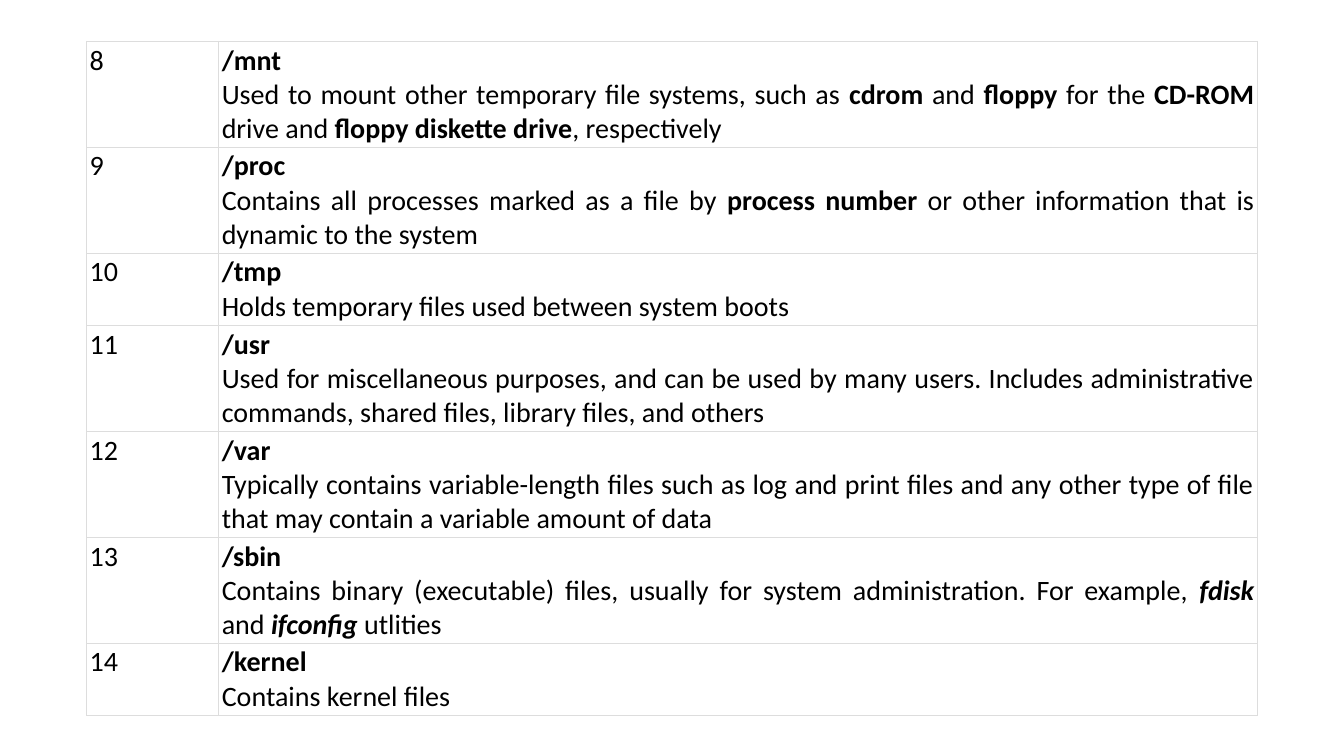
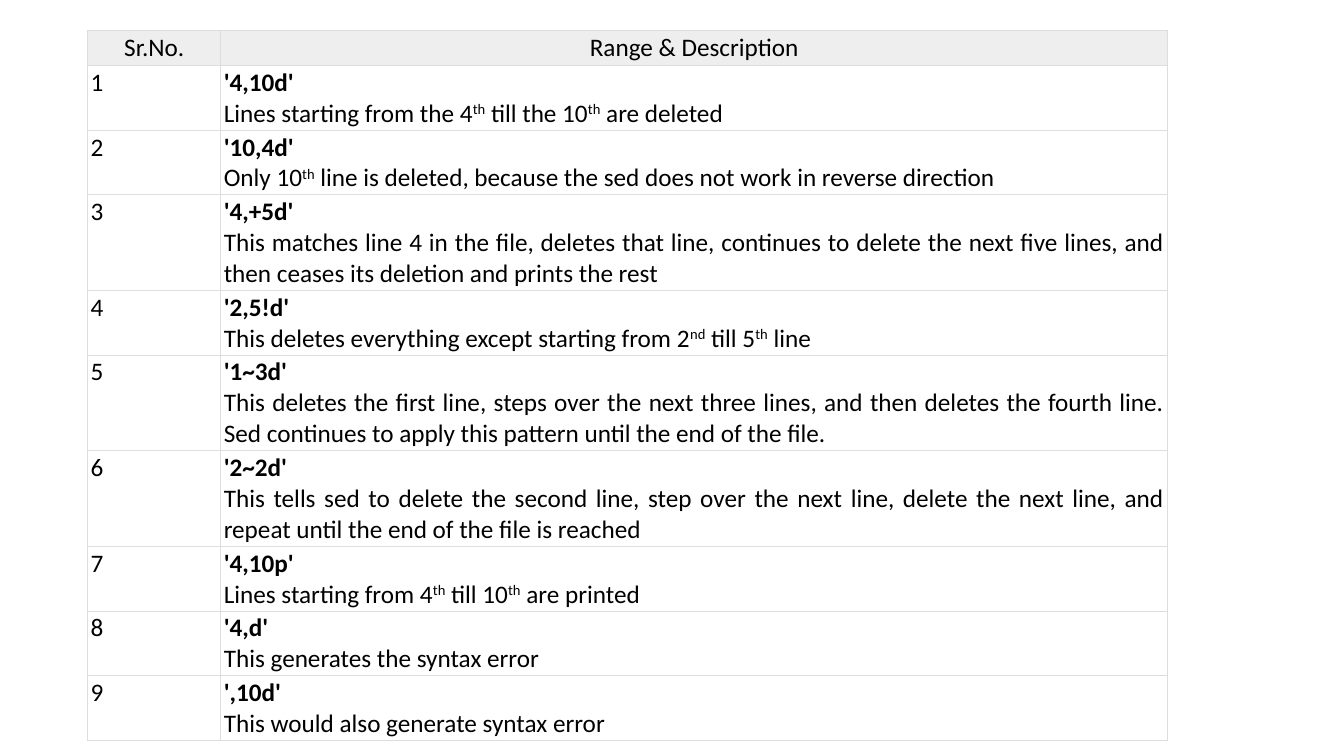
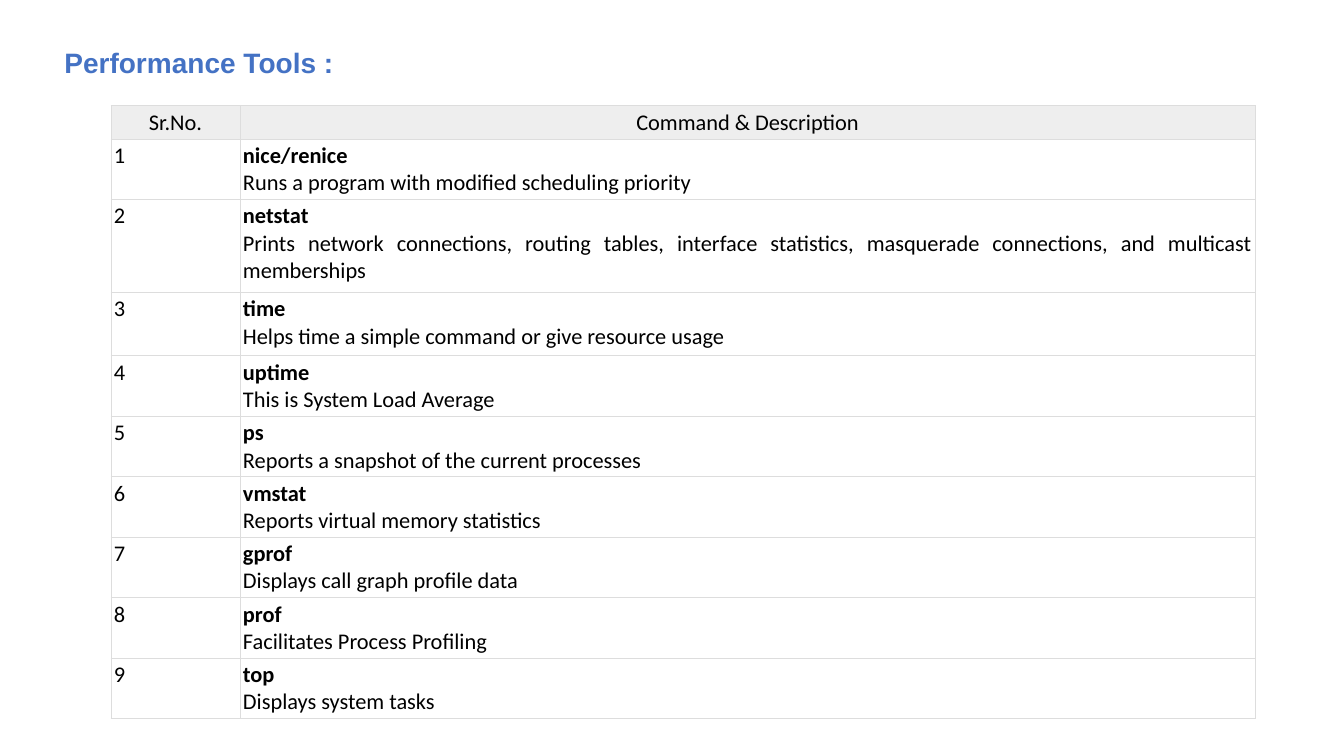
from lxml.etree import SubElement
from pptx import Presentation
from pptx.dml.color import RGBColor
from pptx.enum.text import PP_ALIGN
from pptx.oxml.ns import qn
from pptx.util import Inches, Pt

COLORS = {
    "text": "000000",
    "title": "4472C4",
    "header": "EEEEEE",
    "body": "FFFFFF",
    "border": "DDDDDD",
}
BODY_FONT = "Calibri"
TITLE_FONT = "Arial"
SIDE_MARGIN = 0.03
BORDER_WIDTH = Pt(0.6)

DIRECTORIES = [
    ("/mnt", "Used to mount other temporary file systems, such as |*cdrom| and |*floppy"
             "| for the |*CD-ROM| drive and |*floppy diskette drive|, respectively"),
    ("/proc", "Contains all processes marked as a file by |*process number"
              "| or other information that is dynamic to the system"),
    ("/tmp", "Holds temporary files used between system boots"),
    ("/usr", "Used for miscellaneous purposes, and can be used by many users. "
             "Includes administrative commands, shared files, library files, and others"),
    ("/var", "Typically contains variable-length files such as log and print files "
             "and any other type of file that may contain a variable amount of data"),
    ("/sbin", "Contains binary (executable) files, usually for system administration. "
              "For example, |/fdisk| and |/ifconfig| utlities"),
    ("/kernel", "Contains kernel files"),
]

SED_RANGES = [
    ("'4,10d'", "Lines starting from the 4|^th| till the 10|^th| are deleted"),
    ("'10,4d'", "Only 10|^th| line is deleted, because the sed does not work in reverse direction"),
    ("'4,+5d'", "This matches line 4 in the file, deletes that line, continues to delete "
                "the next five lines, and then ceases its deletion and prints the rest"),
    ("'2,5!d'", "This deletes everything except starting from 2|^nd| till 5|^th| line"),
    ("'1~3d'", "This deletes the first line, steps over the next three lines, and then deletes "
               "the fourth line. Sed continues to apply this pattern until the end of the file."),
    ("'2~2d'", "This tells sed to delete the second line, step over the next line, "
               "delete the next line, and repeat until the end of the file is reached"),
    ("'4,10p'", "Lines starting from 4|^th| till 10|^th| are printed"),
    ("'4,d'", "This generates the syntax error"),
    ("',10d'", "This would also generate syntax error"),
]

PERFORMANCE_TOOLS = [
    ("nice/renice", "Runs a program with modified scheduling priority"),
    ("netstat", "Prints network connections, routing tables, interface statistics, "
                "masquerade connections, and multicast memberships"),
    ("time", "Helps time a simple command or give resource usage"),
    ("uptime", "This is System Load Average"),
    ("ps", "Reports a snapshot of the current processes"),
    ("vmstat", "Reports virtual memory statistics"),
    ("gprof", "Displays call graph profile data"),
    ("prof", "Facilitates Process Profiling"),
    ("top", "Displays system tasks"),
]


class Deck:
    def __init__(self):
        self.presentation = Presentation()
        self.presentation.slide_width = Inches(13.33)
        self.presentation.slide_height = Inches(7.5)
        self.slide = None

    def add_slide(self):
        self.slide = self.presentation.slides.add_slide(self.presentation.slide_layouts[6])

    def style_run(self, run, size, color="text", name=BODY_FONT, bold=False, italic=False):
        run.font.size = Pt(size)
        run.font.name = name
        run.font.bold = bold
        run.font.italic = italic
        run.font.color.rgb = RGBColor.from_string(COLORS[color])

    def add_title(self, text, left, top, width, height):
        shape = self.slide.shapes.add_textbox(
            Inches(left), Inches(top), Inches(width), Inches(height))
        shape.text_frame.word_wrap = True
        shape.text_frame.text = text
        self.style_run(shape.text_frame.paragraphs[0].runs[0], 20, "title", TITLE_FONT, True)

    def format_cell(self, cell, fill, inset):
        cell.margin_left = cell.margin_right = Inches(SIDE_MARGIN)
        cell.margin_top = Inches(inset)
        cell.margin_bottom = Inches(inset - 0.01)
        properties = cell._tc.get_or_add_tcPr()
        for side in ("lnL", "lnR", "lnT", "lnB"):
            line = SubElement(properties, qn(f"a:{side}"), w=str(BORDER_WIDTH))
            solid = SubElement(line, qn("a:solidFill"))
            SubElement(solid, qn("a:srgbClr"), val=COLORS["border"])
        cell.fill.solid()
        cell.fill.fore_color.rgb = RGBColor.from_string(COLORS[fill])

    def write_label(self, cell, text, size, alignment):
        cell.text_frame.text = text
        paragraph = cell.text_frame.paragraphs[0]
        paragraph.alignment = alignment
        self.style_run(paragraph.runs[0], size)

    def write_entry(self, cell, name, description, size):
        self.write_label(cell, name, size, PP_ALIGN.JUSTIFY)
        cell.text_frame.paragraphs[0].runs[0].font.bold = True
        paragraph = cell.text_frame.add_paragraph()
        paragraph.alignment = PP_ALIGN.JUSTIFY
        for index, part in enumerate(description.split("|")):
            mark, text = (part[0], part[1:]) if index % 2 else ("", part)
            run = paragraph.add_run()
            run.text = text
            self.style_run(run, size, bold=mark in ("*", "/"), italic=mark == "/")
            if mark == "^":
                run._r.get_or_add_rPr().set("baseline", "30000")

    def add_listing(self, entries, position, columns, heights, size, inset,
                    header=None, first_number=1):
        left, top = position
        shape = self.slide.shapes.add_table(
            len(heights), len(columns), Inches(left), Inches(top),
            Inches(sum(columns)), Inches(sum(heights)))
        table = shape.table
        table.first_row = table.horz_banding = False
        for column, width in zip(table.columns, columns):
            column.width = Inches(width)
        for row, height in zip(table.rows, heights):
            row.height = Inches(height)
        header_rows = 1 if header else 0
        for index, row in enumerate(table.rows):
            for cell in row.cells:
                self.format_cell(cell, "header" if index < header_rows else "body", inset)
        if header:
            for cell, text in zip(table.rows[0].cells, ("Sr.No.", header)):
                self.write_label(cell, text, size, PP_ALIGN.CENTER)
        for index, (name, description) in enumerate(entries):
            row = index + header_rows
            self.write_label(table.cell(row, 0), str(first_number + index), size, PP_ALIGN.LEFT)
            self.write_entry(table.cell(row, 1), name, description, size)


def main():
    deck = Deck()

    deck.add_slide()
    deck.add_listing(DIRECTORIES, (0.86, 0.41), (1.31, 10.3),
                     [1.05, 1.05, 0.72, 1.05, 1.05, 1.05, 0.72],
                     size=20, inset=0.02, first_number=8)

    deck.add_slide()
    deck.add_listing(SED_RANGES, (0.87, 0.3), (1.32, 9.39),
                     [0.35, 0.64, 0.64, 0.95, 0.64, 0.95, 0.95] + [0.64] * 3,
                     size=18, inset=0.02, header="Range & Description")

    deck.add_slide()
    deck.add_title("Performance Tools :", 0.54, 0.4, 4.5, 0.77)
    deck.add_listing(PERFORMANCE_TOOLS, (1.1, 1.05), (1.28, 10.07),
                     [0.33, 0.6, 0.92, 0.63] + [0.6] * 6,
                     size=16, inset=0.03, header="Command & Description")

    deck.presentation.save("out.pptx")


if __name__ == "__main__":
    main()
